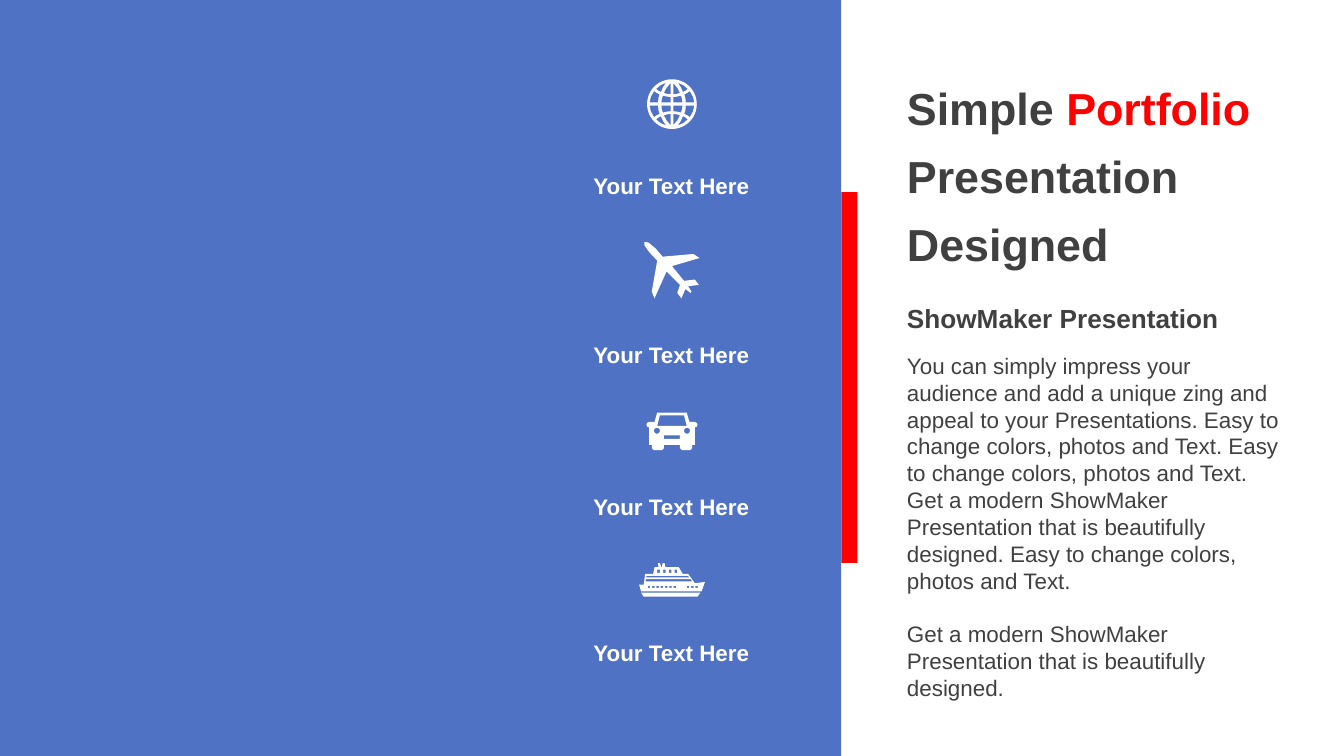
from math import cos, pi, sin

from pptx import Presentation
from pptx.dml.color import RGBColor
from pptx.enum import shapes, text
from pptx.util import Inches, Pt

COLORS = {"blue": "5072C4", "red": "FF0000", "white": "FFFFFF", "gray": "404040"}
PAGE_WIDTH = 10
PAGE_HEIGHT = PAGE_WIDTH * 9 / 16
ICON_CENTER = PAGE_WIDTH / 2

PANELS = [("red", 6.26, 1.43, 0.12, 2.76), ("blue", 0, 0, 6.26, PAGE_HEIGHT)]

# Each paragraph is a list of (wording, colour) spans.
TITLE = [
    [("Simple ", "gray"), ("Portfolio", "red")],
    [("Presentation", "gray")],
    [("Designed", "gray")],
]
SUBTITLE = [[("ShowMaker Presentation", "gray")]]
BODY = [
    [("You can simply impress your audience and add a unique zing and appeal to your "
      "Presentations. Easy to change colors, photos and Text. Easy to change colors, "
      "photos and Text. Get a modern ShowMaker Presentation that is beautifully "
      "designed. Easy to change colors, photos and Text.", "gray")],
    [("Get a modern ShowMaker Presentation that is beautifully designed.", "gray")],
]
CAPTION = [[("Your Text Here", "white")]]

# Icon outlines: hundredths of an inch, x from the icon's centre, y from its top.
GLOBE_CELLS = [  # one quadrant, measured from the globe's centre
    [(1, 1.2), (1, 5.3), (4, 5.6), (6.7, 6.3), (7.5, 4), (7.8, 1.2)],
    [(10.3, 1.2), (16.6, 1.2), (15.7, 5.5), (13.3, 9.7), (11.5, 8.4),
     (9.2, 7.2), (10, 4.5)],
    [(1, 7.3), (3.5, 7.6), (6, 8.3), (4.1, 12), (1, 15.7)],
    [(8.2, 9), (10.2, 10), (11.8, 11.4), (8.5, 14.1), (4.4, 15.9), (6.5, 12.7)],
]
PLANE = [
    (20, 32), (12, 33), (14.5, 37), (14, 38), (10, 35), (7, 42), (4, 38), (6, 32),
    (-4, 22), (-13, 42), (-15, 37), (-11, 14), (-17, 7.5), (-20.5, 2.5), (-20.5, 0),
    (-17.5, 0.5), (-12, 5), (-7, 11), (16, 9), (20.5, 12), (0, 18), (9, 29), (17, 28),
]
CAR_HALF = [
    (11, 0), (13, 7), (17, 7), (18.5, 7.7), (19, 9), (18.5, 10.5), (17, 11), (17, 24),
    (15, 24), (15, 26.5), (13.5, 28), (7.5, 28), (6, 26.5), (6, 24),
]
CAR_WINDOW = [(-11, 10), (-9, 2), (9, 2), (11, 10)]
SHIP_PARTS = [
    [(-7, 0), (-5.5, 0), (-5, 3), (5, 3), (8, 8), (12, 8), (17, 15), (24.5, 14),
     (22, 21), (-23, 21), (-24.5, 16), (-21, 16), (-20, 8), (-14, 8), (-13, 3),
     (-10, 3), (-10.5, 0), (-9, 0), (-8, 3), (-7.5, 3)],
    [(-23, 22), (21, 22), (19, 25), (-21, 25)],
    [(-19.3, 12), (-20, 13.7), (15, 13.7), (14, 12)],
    [(-19, 9.5), (-19, 10.7), (13, 10.7), (12, 9.5)],
]


def mirror(points, x=-1, y=1):
    return [(px * x, py * y) for px, py in points]


def rectangle(left, top, width, height):
    right, bottom = left + width, top + height
    return [(left, top), (right, top), (right, bottom), (left, bottom)]


def circle(x, y, radius, steps=48):
    angles = [2 * pi * step / steps for step in range(steps)]
    return [(x + radius * cos(a), y + radius * sin(a)) for a in angles]


def globe():
    radius = 18.5
    cells = [mirror(cell, x, y) for cell in GLOBE_CELLS for x in (1, -1) for y in (1, -1)]
    return [[(x, y + radius) for x, y in part] for part in [circle(0, 0, radius)] + cells]


def car():
    body = CAR_HALF + mirror(CAR_HALF)[::-1]
    lights = [circle(x, 13.5, 2.2, 24) for x in (-11.2, 11.2)]
    return [body, CAR_WINDOW, rectangle(-6, 17, 12, 2.6)] + lights


def ship():
    portholes = [-18 + 3.2 * i for i in range(7)] + [11 + 3.2 * i for i in range(3)]
    cabins = [-11 + 4.3 * i for i in range(4)]
    return (SHIP_PARTS + [rectangle(x, 17, 1.8, 1.5) for x in portholes]
            + [rectangle(x, 4.8, 2, 2.4) for x in cabins])


# (outlines, icon top, caption top)
SERVICES = [
    (globe(), 0.59, 1.23),
    ([PLANE], 1.8, 2.49),
    (car(), 3.07, 3.62),
    (ship(), 4.19, 4.71),
]


def paint(shape, color):
    shape.shadow.inherit = False
    shape.fill.solid()
    shape.fill.fore_color.rgb = RGBColor.from_string(COLORS[color])
    shape.line.fill.background()


def add_icon(page, outlines, top):
    placed = [[(Inches(ICON_CENTER + x / 100), Inches(top + y / 100)) for x, y in outline]
              for outline in outlines]
    builder = page.shapes.build_freeform(*placed[0][0])
    for index, points in enumerate(placed):
        if index:
            builder.move_to(*points[0])
        builder.add_line_segments(points[1:], close=True)
    paint(builder.convert_to_shape(), "white")


def add_text(page, place, paragraphs, size, bold=True, gap=0, anchor="TOP",
             fit="NONE", **format_values):
    box = page.shapes.add_textbox(*map(Inches, place))
    frame = box.text_frame
    frame.word_wrap = True
    frame.auto_size = getattr(text.MSO_AUTO_SIZE, fit)
    frame.vertical_anchor = getattr(text.MSO_ANCHOR, anchor)
    for index, spans in enumerate(paragraphs):
        para = frame.add_paragraph() if index else frame.paragraphs[0]
        for name, value in format_values.items():
            setattr(para, name, value)
        if index:
            para.space_before = Pt(gap)
        for wording, color in spans:
            span = para.add_run()
            span.text = wording
            for name, value in {"name": "Arial", "size": Pt(size), "bold": bold}.items():
                setattr(span.font, name, value)
            span.font.color.rgb = RGBColor.from_string(COLORS[color])


def main():
    deck = Presentation()
    deck.slide_width, deck.slide_height = Inches(PAGE_WIDTH), Inches(PAGE_HEIGHT)
    page = deck.slides.add_slide(deck.slide_layouts[6])

    for color, *place in PANELS:
        panel = page.shapes.add_shape(shapes.MSO_SHAPE.RECTANGLE, *map(Inches, place))
        paint(panel, color)

    for outlines, icon_top, caption_top in SERVICES:
        add_icon(page, outlines, icon_top)
        add_text(page, (4.22, caption_top, 1.55, 0.3), CAPTION, 12,
                 fit="SHAPE_TO_FIT_TEXT", alignment=text.PP_ALIGN.CENTER)

    add_text(page, (6.65, 0.46, 2.86, 1.65), TITLE, 24, gap=4.8, anchor="MIDDLE",
             line_spacing=1.1)
    add_text(page, (6.65, 2.2, 2.99, 0.34), SUBTITLE, 14, fit="SHAPE_TO_FIT_TEXT")
    add_text(page, (6.65, 2.57, 2.99, 2.73), BODY, 12, bold=False, gap=14)
    deck.save("out.pptx")


if __name__ == "__main__":
    main()
